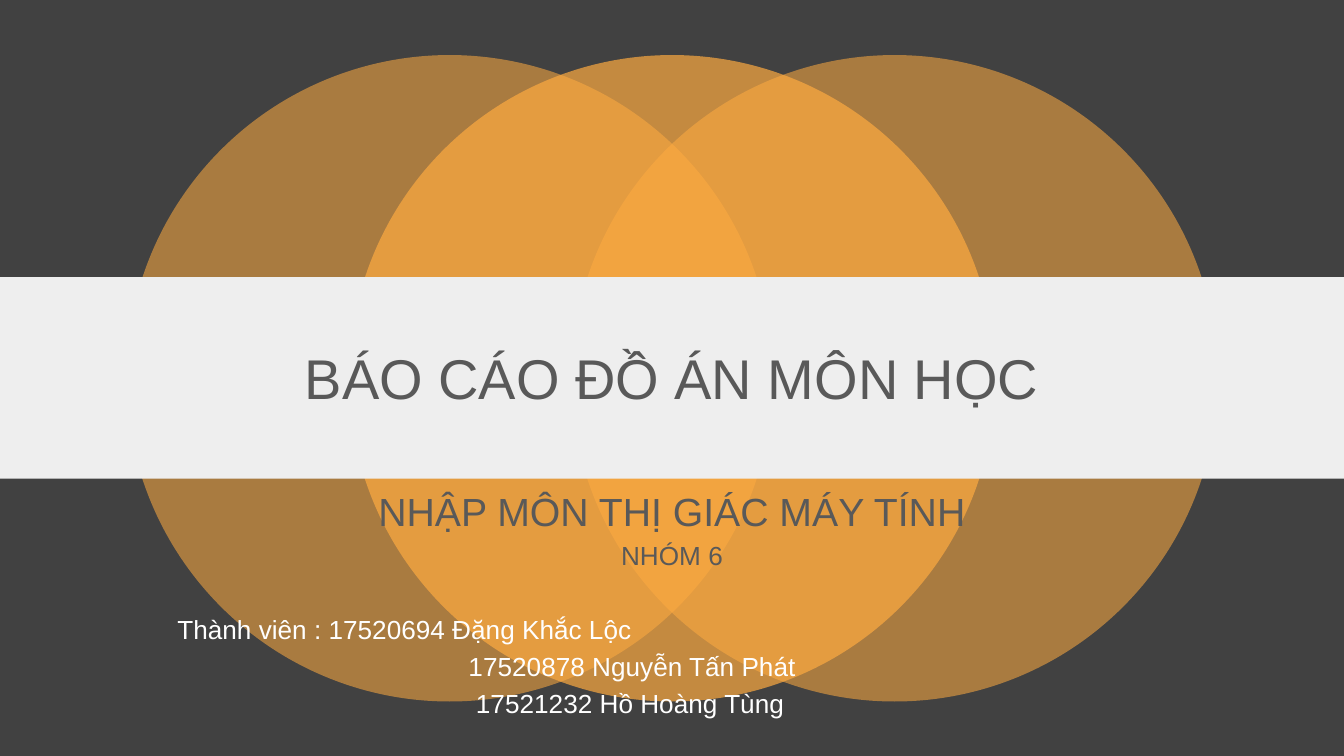
from lxml.etree import SubElement
from pptx import Presentation
from pptx.dml.color import RGBColor
from pptx.enum.shapes import MSO_SHAPE
from pptx.enum.text import MSO_ANCHOR, MSO_AUTO_SIZE, PP_ALIGN
from pptx.oxml.ns import qn
from pptx.util import Pt

WIDTH, HEIGHT = 720, 405
COLORS = {
    "background": "414141",
    "circle": "FFAB40",
    "band": "EEEEEE",
    "heading": "595959",
    "members": "FFFFFF",
}


def set_fill(fill, color, alpha=None):
    fill.solid()
    fill.fore_color.rgb = RGBColor.from_string(COLORS[color])
    if alpha is not None:
        clr = fill._xPr.find(".//" + qn("a:srgbClr"))
        SubElement(clr, qn("a:alpha"), val=str(alpha * 1000))


def add_shape(shapes, kind, box, color, alpha=None):
    sp = shapes.add_shape(kind, *map(Pt, box))
    sp.shadow.inherit = False
    sp.line.fill.background()
    set_fill(sp.fill, color, alpha)


def add_circles(s):
    size, top, step = 346.3, 29.5, 119.2
    group = s.shapes.add_group_shape()
    # The middle circle lies on top of the outer two
    for offset, alpha in ((-1, 55), (1, 55), (0, 69)):
        left = (WIDTH - size) / 2 + offset * step
        add_shape(group.shapes, MSO_SHAPE.OVAL, (left, top, size, size), "circle", alpha)


def fill_placeholder(sp, box, anchor, spacing, lines):
    sp.left, sp.top, sp.width, sp.height = map(Pt, box)
    # Bring the text in front of the shapes
    sp.element.getparent().append(sp.element)
    tf = sp.text_frame
    frame = {
        "word_wrap": True, "auto_size": MSO_AUTO_SIZE.NONE, "vertical_anchor": anchor,
        "margin_left": Pt(5), "margin_right": Pt(5),
        "margin_top": Pt(2.7), "margin_bottom": Pt(2.7),
    }
    for name, value in frame.items():
        setattr(tf, name, value)
    for i, (text, size, color, align, before, indent) in enumerate(lines):
        p = tf.add_paragraph() if i else tf.paragraphs[0]
        pPr = p._p.get_or_add_pPr()
        pPr.set("marL", str(Pt(indent)))
        pPr.set("indent", "0")
        layout = {"alignment": align, "line_spacing": spacing,
                  "space_before": Pt(before), "space_after": Pt(0)}
        for name, value in layout.items():
            setattr(p, name, value)
        r = p.add_run()
        r.text = text
        for name, value in {"name": "Arial", "size": Pt(size), "bold": False}.items():
            setattr(r.font, name, value)
        r.font.color.rgb = RGBColor.from_string(COLORS[color])


def main():
    prs = Presentation()
    prs.slide_width, prs.slide_height = Pt(WIDTH), Pt(HEIGHT)
    s = prs.slides.add_slide(prs.slide_layouts[0])
    set_fill(s.background.fill, "background")

    # Backdrop
    add_circles(s)
    add_shape(s.shapes, MSO_SHAPE.RECTANGLE, (0, 148.5, WIDTH, 108), "band")

    # Title
    center, left = PP_ALIGN.CENTER, PP_ALIGN.LEFT
    fill_placeholder(s.shapes.title, (90, 164, 540, 81), MSO_ANCHOR.MIDDLE, 0.9, [
        ("BÁO CÁO ĐỒ ÁN MÔN HỌC", 30, "heading", center, 0, 0),
    ])

    # Course, group and members
    fill_placeholder(s.placeholders[1], (90, 265.5, 540, 45), MSO_ANCHOR.TOP, 0.7, [
        ("NHẬP MÔN THỊ GIÁC MÁY TÍNH", 21, "heading", center, 0, 0),
        ("NHÓM 6", 14, "heading", center, 8, 0),
        ("Thành viên : 17520694 Đặng Khắc Lộc", 14, "members", left, 27.5, 0),
        ("17520878 Nguyễn Tấn Phát", 14, "members", left, 8, 156),
        ("17521232 Hồ Hoàng Tùng", 14, "members", left, 8, 160),
    ])
    prs.save("out.pptx")


if __name__ == "__main__":
    main()
